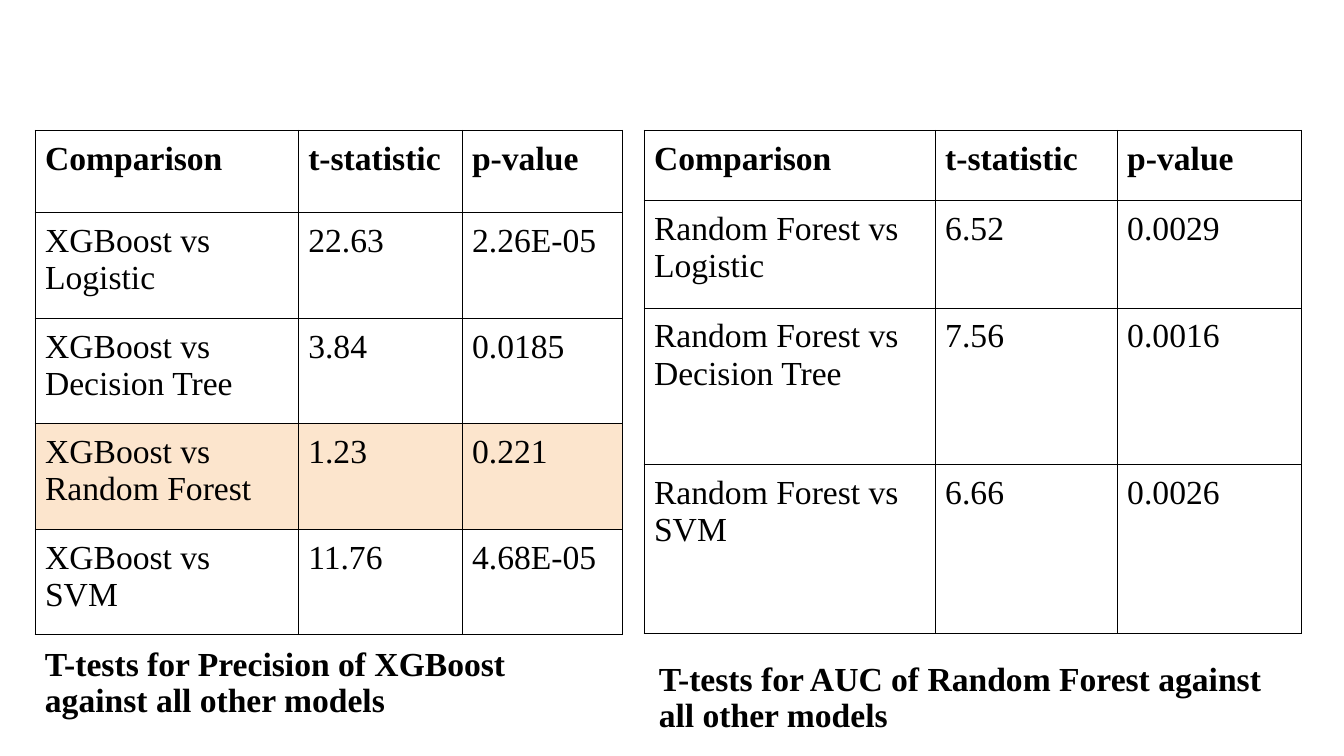
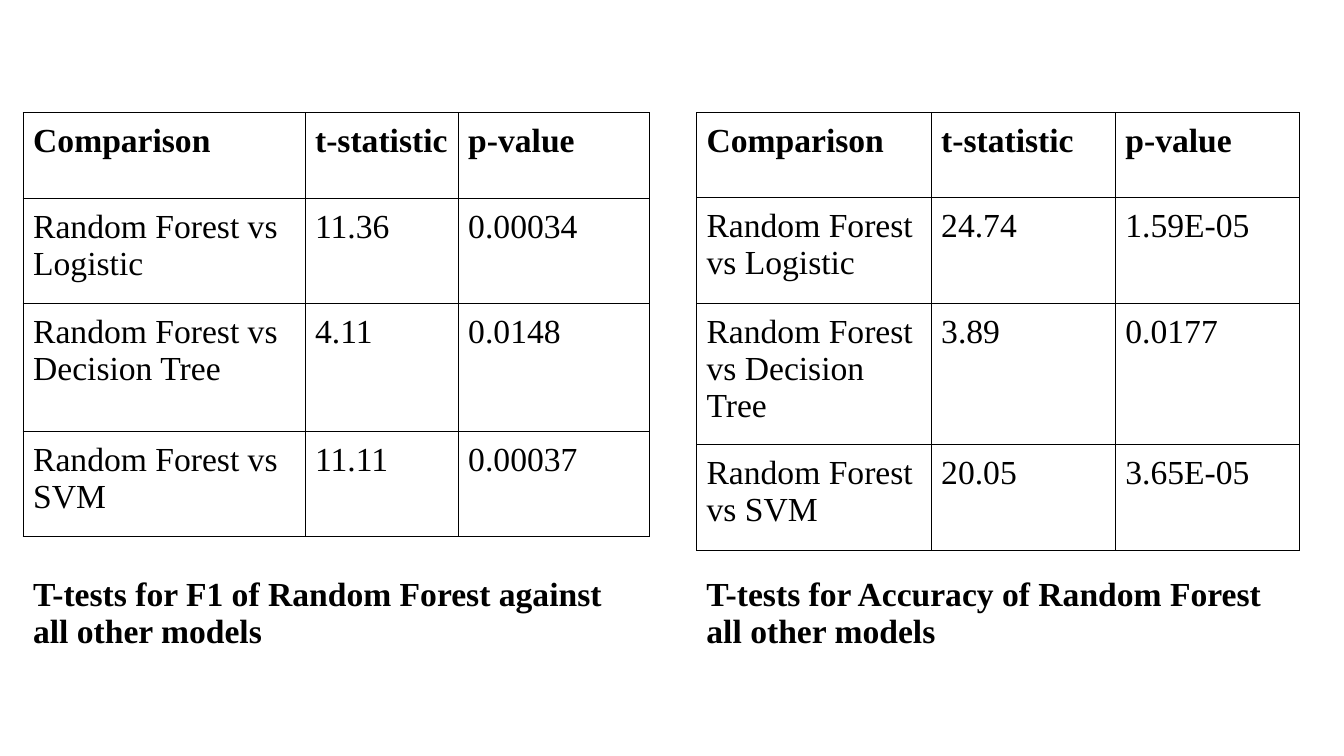
from lxml import etree
from pptx import Presentation
from pptx.dml.color import RGBColor
from pptx.enum.text import MSO_ANCHOR, MSO_AUTO_SIZE
from pptx.oxml.ns import qn
from pptx.util import Pt

TOP = MSO_ANCHOR.TOP
GROW = MSO_AUTO_SIZE.SHAPE_TO_FIT_TEXT
BLANK_LAYOUT = 6
COLORS = {"text": "000000", "border": "000000", "cell": "FFFFFF", "highlight": "FCE5CD"}
FONT = {"name": "Times New Roman", "size": Pt(24)}
INSETS = {f"margin_{side}": Pt(7.2) for side in ("left", "top", "right", "bottom")}
BORDER_WIDTH = Pt(0.75)
CAPTION_HEIGHT = 67
HEADER = ("Comparison", "t-statistic", "p-value")

SLIDES = [
    [
        {
            "model": "XGBoost",
            "results": [
                ("Logistic", "22.63", "2.26E-05"),
                ("Decision Tree", "3.84", "0.0185"),
                ("Random Forest", "1.23", "0.221"),
                ("SVM", "11.76", "4.68E-05"),
            ],
            "highlight": "Random Forest",
            "at": (25, 93),
            "columns": (188, 117, 115),
            "rows": (59, 75.4, 75.4, 75.4, 75.4),
            "caption": "T-tests for Precision of XGBoost against all other models",
            "caption_box": (25, 455, 420),
        },
        {
            "model": "Random Forest",
            "results": [
                ("Logistic", "6.52", "0.0029"),
                ("Decision Tree", "7.56", "0.0016"),
                ("SVM", "6.66", "0.0026"),
            ],
            "at": (460, 93),
            "columns": (208, 130, 132),
            "rows": (50, 77, 111.6, 121),
            "caption": "T-tests for AUC of Random Forest against all other models",
            "caption_box": (463.5, 466, 464),
        },
    ],
    [
        {
            "model": "Random Forest",
            "results": [
                ("Logistic", "11.36", "0.00034"),
                ("Decision Tree", "4.11", "0.0148"),
                ("SVM", "11.11", "0.00037"),
            ],
            "at": (16.5, 80.6),
            "columns": (201.4, 109.4, 136.6),
            "rows": (61, 75, 91.5, 75),
            "caption": "T-tests for F1 of Random Forest against all other models",
            "caption_box": (16.5, 405.5, 447),
        },
        {
            "model": "Random Forest",
            "results": [
                ("Logistic", "24.74", "1.59E-05"),
                ("Decision Tree", "3.89", "0.0177"),
                ("SVM", "20.05", "3.65E-05"),
            ],
            "at": (497.5, 80.6),
            "columns": (167.6, 131.6, 131.6),
            "rows": (60.4, 75.8, 100.6, 75.8),
            "caption": "T-tests for Accuracy of Random Forest all other models",
            "caption_box": (497.5, 405.5, 431),
        },
    ],
]


def apply(target, values):
    for name, value in values.items():
        setattr(target, name, value)


def write(paragraph, text, bold):
    span = paragraph.add_run()
    span.text = text
    apply(span.font, {**FONT, "bold": bold})
    span.font.color.rgb = RGBColor.from_string(COLORS["text"])


def add_borders(cell):
    properties = cell._tc.get_or_add_tcPr()
    for side in ("lnL", "lnR", "lnT", "lnB"):
        line = etree.SubElement(properties, qn(f"a:{side}"), w=str(int(BORDER_WIDTH)))
        fill = etree.SubElement(line, qn("a:solidFill"))
        etree.SubElement(fill, qn("a:srgbClr"), val=COLORS["border"])


def add_results(page, test):
    columns, heights = test["columns"], test["rows"]
    left, top = test["at"]
    table = page.shapes.add_table(
        len(heights), len(columns), Pt(left), Pt(top), Pt(sum(columns)), Pt(sum(heights))
    ).table
    apply(table, {"first_row": False, "horz_banding": False})
    for column, width in zip(table.columns, columns):
        column.width = Pt(width)
    rivals = [(f"{test['model']} vs {rival}", *values) for rival, *values in test["results"]]
    names = [None] + [result[0] for result in test["results"]]
    for row, height, texts, name in zip(table.rows, heights, [HEADER, *rivals], names):
        row.height = Pt(height)
        marked = name is not None and name == test.get("highlight")
        for cell, text in zip(row.cells, texts):
            apply(cell, {**INSETS, "vertical_anchor": TOP})
            add_borders(cell)
            cell.fill.solid()
            cell.fill.fore_color.rgb = RGBColor.from_string(
                COLORS["highlight" if marked else "cell"]
            )
            write(cell.text_frame.paragraphs[0], text, name is None)


def add_caption(page, test):
    left, top, width = test["caption_box"]
    box = page.shapes.add_textbox(Pt(left), Pt(top), Pt(width), Pt(CAPTION_HEIGHT))
    apply(box.text_frame, {**INSETS, "word_wrap": True, "auto_size": GROW})
    para = box.text_frame.paragraphs[0]
    apply(para, {"line_spacing": 0.9, "space_before": Pt(10)})
    write(para, test["caption"], True)


def main():
    deck = Presentation()
    apply(deck, {"slide_width": Pt(960), "slide_height": Pt(540)})
    for tests in SLIDES:
        page = deck.slides.add_slide(deck.slide_layouts[BLANK_LAYOUT])
        for test in tests:
            add_results(page, test)
            add_caption(page, test)
    deck.save("out.pptx")


if __name__ == "__main__":
    main()
